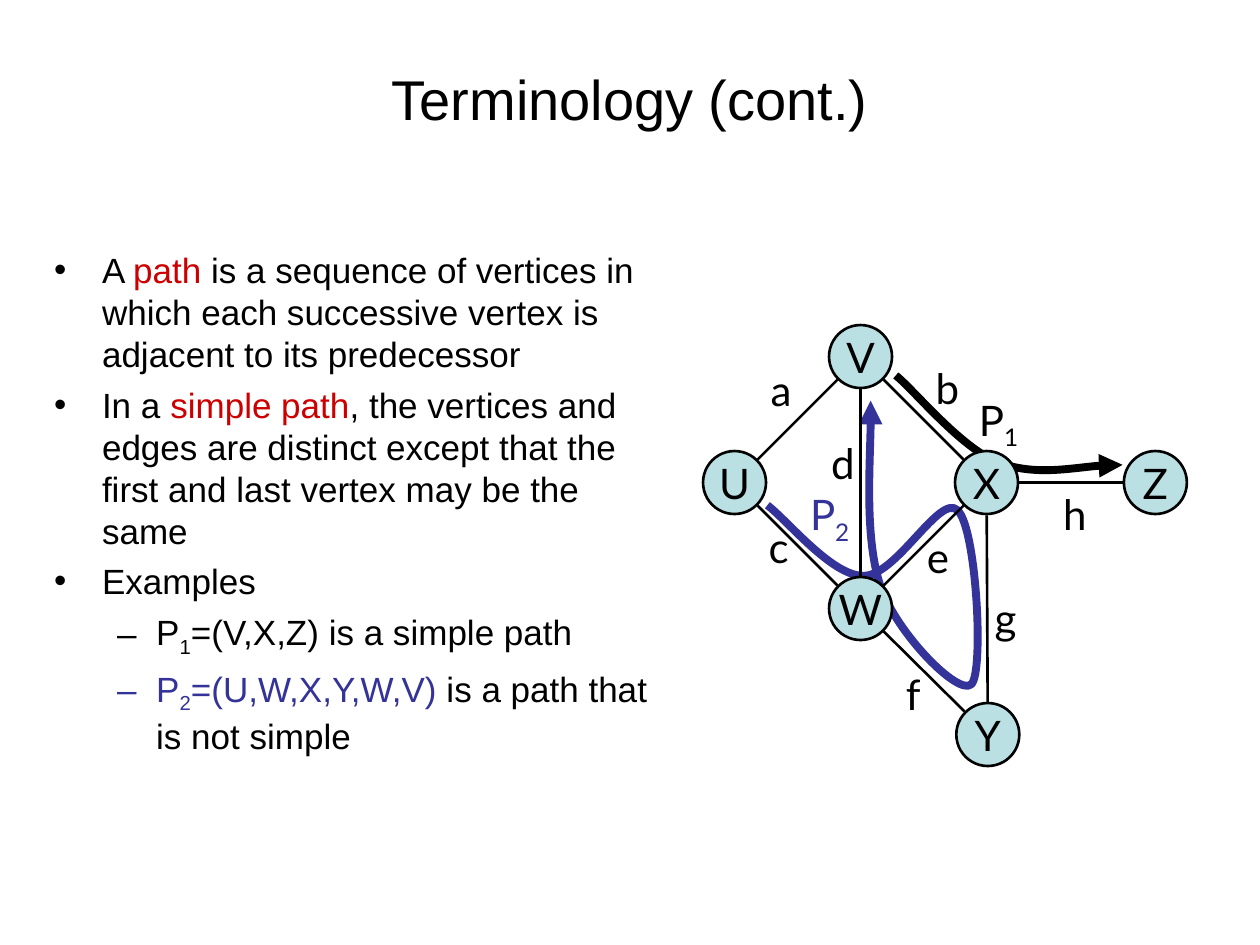
from math import hypot

from lxml.etree import SubElement
from pptx import Presentation
from pptx.dml.color import RGBColor
from pptx.enum.shapes import MSO_CONNECTOR, MSO_SHAPE
from pptx.enum.text import MSO_ANCHOR, MSO_AUTO_SIZE, PP_ALIGN
from pptx.oxml.ns import qn
from pptx.util import Inches, Pt

BLACK, RED, BLUE, PALE = "000000", "CC0000", "333399", "BBE0E3"

# Content: a run is (text, colour), with "sub" added for a subscript
TITLE = "Terminology (cont.)"
BULLETS = [  # level, runs
    (0, [("A ", BLACK), ("path", RED),
         (" is a sequence of vertices in which each successive vertex "
          "is adjacent to its predecessor", BLACK)]),
    (0, [("In a ", BLACK), ("simple path", RED),
         (", the vertices and edges are distinct except that the first "
          "and last vertex may be the same", BLACK)]),
    (0, [("Examples", BLACK)]),
    (1, [("P", BLACK), ("1", BLACK, "sub"), ("=(V,X,Z) is a simple path", BLACK)]),
    (1, [("P", BLUE), ("2", BLUE, "sub"), ("=(U,W,X,Y,W,V)", BLUE),
         (" is a path that is not simple", BLACK)]),
]
LEVELS = [("•", 0.38, -0.38), ("–", 0.81, -0.31)]  # mark, margin, indent

# Graph: vertex centres, edges, and edge labels as (left, top, width)
VERTICES = {"X": (7.83, 3.83), "U": (5.83, 3.83), "V": (6.83, 2.83),
            "W": (6.83, 4.83), "Z": (9.17, 3.83), "Y": (7.84, 5.83)}
EDGES = ["VU", "WU", "WX", "XZ", "VX", "VW", "WY", "XY"]
EDGE_LABELS = {"a": (6.01, 2.84, 0.38), "c": (6, 4.09, 0.36),
               "b": (7.32, 2.83, 0.4), "e": (7.25, 4.17, 0.39),
               "d": (6.49, 3.42, 0.4), "f": (7.09, 5.26, 0.31),
               "g": (7.78, 4.65, 0.4), "h": (8.33, 3.83, 0.4)}
PATH_LABELS = [("1", BLACK, 7.67, 3.08), ("2", BLUE, 6.33, 3.83)]
DIAMETER, EDGE_GAP = 0.5, 0.01

# Routes in hundredths of an inch: a start, then three Bezier points per segment
ROUTES = [
    (BLUE, "headEnd", [
        (691, 318), (692, 342), (686, 428), (699, 466),
        (712, 503), (761, 553), (771, 543),
        (781, 533), (775, 419), (760, 405),
        (746, 391), (711, 458), (685, 457),
        (660, 457), (625, 413), (609, 401)]),
    (BLACK, "tailEnd", [
        (711, 298), (725, 309), (762, 355), (792, 367),
        (822, 378), (870, 368), (891, 369)]),
]


def rgb(value):
    return RGBColor.from_string(value)


def add_runs(para, runs, size, font):
    for text, color, *script in runs:
        span = para.add_run()
        span.text = text
        span.font.size, span.font.name = Pt(size), font
        span.font.color.rgb = rgb(color)
        if script:
            span.font._element.set("baseline", "-25000")


def place(shape, left, top, width, height):
    shape.left, shape.top = Inches(left), Inches(top)
    shape.width, shape.height = Inches(width), Inches(height)


def set_bullet(para, level):
    mark, margin, indent = LEVELS[level]
    para.level = level
    props = para._p.get_or_add_pPr()
    props.set("marL", str(Inches(margin)))
    props.set("indent", str(Inches(indent)))
    SubElement(props, qn("a:buFont")).set("typeface", "Arial")
    SubElement(props, qn("a:buChar")).set("char", mark)


def add_route(page, color, arrow_end, points):
    builder = page.shapes.build_freeform(*points[0], scale=Inches(0.01))
    builder.add_line_segments(points[1:], close=False)
    route = builder.convert_to_shape()
    # Group the segments by three into cubic curves
    steps = list(route._element.iter(qn("a:lnTo")))
    for first in range(0, len(steps), 3):
        curve = SubElement(steps[first].getparent(), qn("a:cubicBezTo"))
        for step in steps[first:first + 3]:
            curve.append(step[0])
            step.getparent().remove(step)
    route.fill.background()
    route.shadow.inherit = False
    route.line.color.rgb, route.line.width = rgb(color), Pt(4.5)
    SubElement(route.line._get_or_add_ln(), qn("a:" + arrow_end)).set("type", "triangle")


def add_edge(page, start, end):
    (x1, y1), (x2, y2) = VERTICES[start], VERTICES[end]
    trim = (DIAMETER / 2 + EDGE_GAP) / hypot(x2 - x1, y2 - y1)
    dx, dy = (x2 - x1) * trim, (y2 - y1) * trim
    edge = page.shapes.add_connector(
        MSO_CONNECTOR.STRAIGHT, Inches(x1 + dx), Inches(y1 + dy),
        Inches(x2 - dx), Inches(y2 - dy))
    edge.line.color.rgb, edge.line.width = rgb(BLACK), Pt(1.5)
    SubElement(edge._element.spPr, qn("a:effectLst"))


def add_vertex(page, name, x, y):
    vertex = page.shapes.add_shape(
        MSO_SHAPE.OVAL, Inches(x - DIAMETER / 2), Inches(y - DIAMETER / 2),
        Inches(DIAMETER), Inches(DIAMETER))
    vertex.shadow.inherit = False
    vertex.fill.solid()
    vertex.fill.fore_color.rgb = rgb(PALE)
    vertex.line.color.rgb, vertex.line.width = rgb(BLACK), Pt(1.5)
    frame = vertex.text_frame
    frame.word_wrap = False
    frame.vertical_anchor = MSO_ANCHOR.MIDDLE
    frame.paragraphs[0].alignment = PP_ALIGN.CENTER
    add_runs(frame.paragraphs[0], [(name, BLACK)], 24, "Lato")


def add_label(page, runs, left, top, width, height):
    box = page.shapes.add_textbox(
        Inches(left), Inches(top), Inches(width), Inches(height))
    box.text_frame.word_wrap = False
    box.text_frame.auto_size = MSO_AUTO_SIZE.SHAPE_TO_FIT_TEXT
    para = box.text_frame.paragraphs[0]
    para.alignment = PP_ALIGN.CENTER
    add_runs(para, runs, 24, "Lato")


def main():
    deck = Presentation()
    deck.slide_width, deck.slide_height = Inches(10), Inches(7.5)
    page = deck.slides.add_slide(deck.slide_layouts[1])

    # Title and bullet list
    title, body = page.shapes.title, page.placeholders[1]
    place(title, 0.5, 0.3, 9, 0.95)
    place(body, 0.33, 1.92, 5.08, 4.67)
    for holder in (title, body):
        holder.text_frame.auto_size = MSO_AUTO_SIZE.NONE
    title.text_frame.vertical_anchor = MSO_ANCHOR.MIDDLE
    add_runs(title.text_frame.paragraphs[0], [(TITLE, BLACK)], 32, "Arial")
    for index, (level, runs) in enumerate(BULLETS):
        frame = body.text_frame
        para = frame.add_paragraph() if index else frame.paragraphs[0]
        para.space_before = Pt(5)
        set_bullet(para, level)
        add_runs(para, runs, 20, "Arial")

    # Graph: routes at the back, then edges, vertices and labels
    for route in ROUTES:
        add_route(page, *route)
    for start, end in EDGES:
        add_edge(page, start, end)
    for name, (x, y) in VERTICES.items():
        add_vertex(page, name, x, y)
    for name, (left, top, width) in EDGE_LABELS.items():
        add_label(page, [(name, BLACK)], left, top, width, 0.5)
    for number, color, left, top in PATH_LABELS:
        add_label(page, [("P", color), (number, color, "sub")], left, top, 0.51, 0.56)

    deck.save("out.pptx")


if __name__ == "__main__":
    main()
